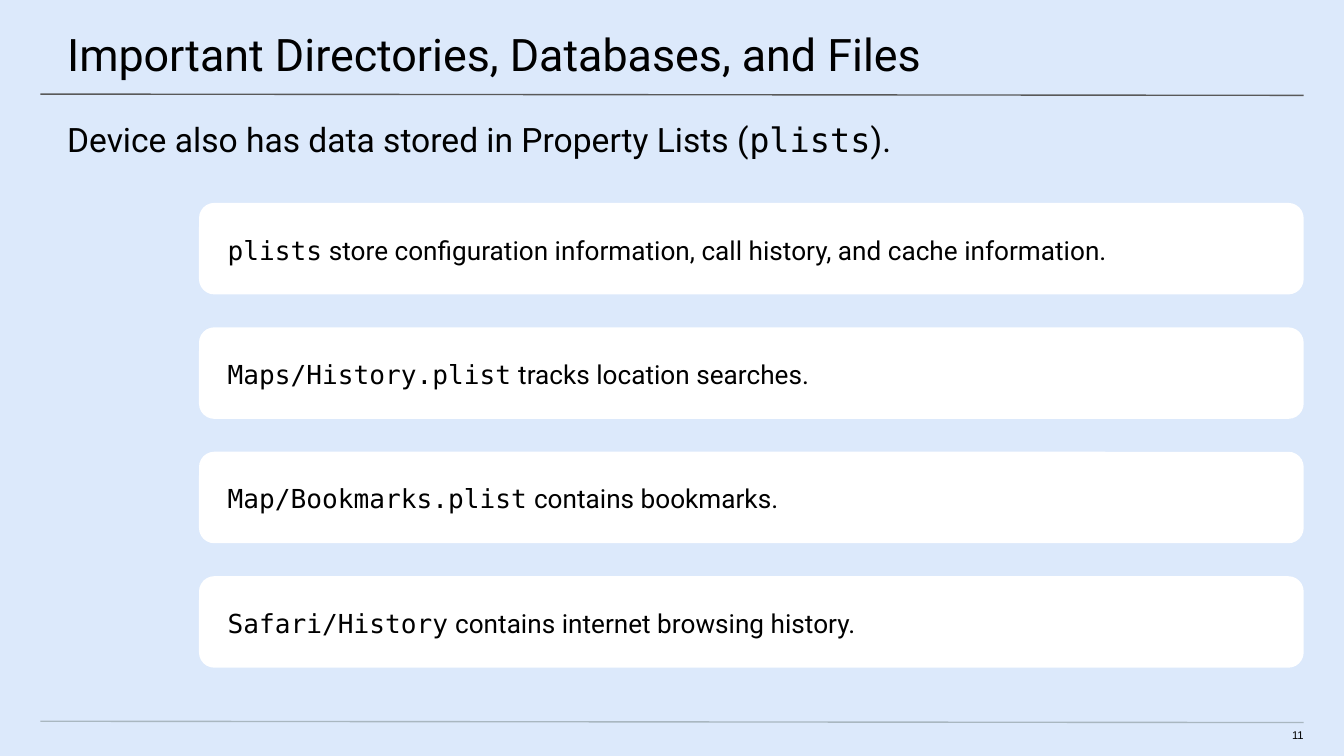
from pptx import Presentation
from pptx.dml.color import RGBColor
from pptx.enum.shapes import MSO_CONNECTOR, MSO_SHAPE
from pptx.enum.text import MSO_ANCHOR, PP_ALIGN
from pptx.oxml.ns import qn
from pptx.util import Pt
from lxml.etree import SubElement

SANS, MONO, SMALL = "Roboto", "DejaVu Sans Mono", "Arial"
WIDTH, HEIGHT = 720, 405

HEADING = "Important Directories, Databases, and Files"
INTRO = [("Device also has data stored in Property Lists (", SANS),
         ("plists", MONO), (").", SANS)]
ENTRIES = [
    ("plists", " store configuration information, call history, and cache information."),
    ("Maps/History.plist", " tracks location searches."),
    ("Map/Bookmarks.plist", " contains bookmarks."),
    ("Safari/History", " contains internet browsing history."),
]


def color(value):
    return RGBColor.from_string(value)


def add_text(page, box, spans, size, insets, spacing=None,
             anchor=MSO_ANCHOR.TOP, align=PP_ALIGN.LEFT):
    frame = page.shapes.add_textbox(*map(Pt, box)).text_frame
    frame.word_wrap = True
    frame.vertical_anchor = anchor
    (frame.margin_left, frame.margin_top,
     frame.margin_right, frame.margin_bottom) = map(Pt, insets)
    para = frame.paragraphs[0]
    para.alignment = align
    if spacing:
        para.line_spacing = spacing
    for text, font in spans:
        span = para.add_run()
        span.text = text
        span.font.name = font
        span.font.size = Pt(size)
        span.font.color.rgb = color("000000")


def add_rule(page, left, top, width, line_color):
    # Each rule drops slightly towards the right
    rule = page.shapes.add_connector(
        MSO_CONNECTOR.STRAIGHT, Pt(left), Pt(top), Pt(left + width), Pt(top + 0.7))
    rule.line.color.rgb = color(line_color)
    rule.line.width = Pt(0.75)
    SubElement(rule._element.spPr, qn("a:effectLst"))


def add_header(page, left, top, width, height):
    add_rule(page, left + 21.6, top + 50.4, width - 43.2, "595959")
    add_text(page, (left, top, width, 41.8), [(HEADING, SANS)], 24,
             (36, 14.4, 21.6, 7.2))
    add_text(page, (left, top + 53.3, width, height - 53.3), INTRO, 18,
             (36, 7.2, 36, 0), spacing=1.15)


def add_cards(page, left, top, width, height):
    card_height = 49
    step = (height - card_height) / (len(ENTRIES) - 1)
    for index, (name, purpose) in enumerate(ENTRIES):
        y = top + index * step
        card = page.shapes.add_shape(
            MSO_SHAPE.ROUNDED_RECTANGLE, Pt(left), Pt(y), Pt(width), Pt(card_height))
        card.adjustments[0] = 0.167
        card.shadow.inherit = False
        card.fill.solid()
        card.fill.fore_color.rgb = color("FFFFFF")
        card.line.fill.background()
        add_text(page, (left, y, width, 47.5), [(name, MONO), (purpose, SANS)], 14,
                 (15.4, 0, 14.4, 0), spacing=1.15, anchor=MSO_ANCHOR.MIDDLE)


def add_footer(page, left, top, width, height):
    add_rule(page, left, top, width, "A9B7C0")
    add_text(page, (left + width - 21, top + 3.6, 21, height - 3.6),
             [("11", SMALL)], 6, (0, 0, 0, 7.2), align=PP_ALIGN.RIGHT)


def main():
    deck = Presentation()
    deck.slide_width, deck.slide_height = Pt(WIDTH), Pt(HEIGHT)
    page = deck.slides.add_slide(deck.slide_layouts[6])
    page.background.fill.solid()
    page.background.fill.fore_color.rgb = color("DCE9FB")

    add_header(page, 0, 0, WIDTH, 82)
    add_cards(page, 106.6, 108.7, 591.8, 249)
    add_footer(page, 21.6, 386.4, 676.8, 12.4)
    deck.save("out.pptx")


if __name__ == "__main__":
    main()
